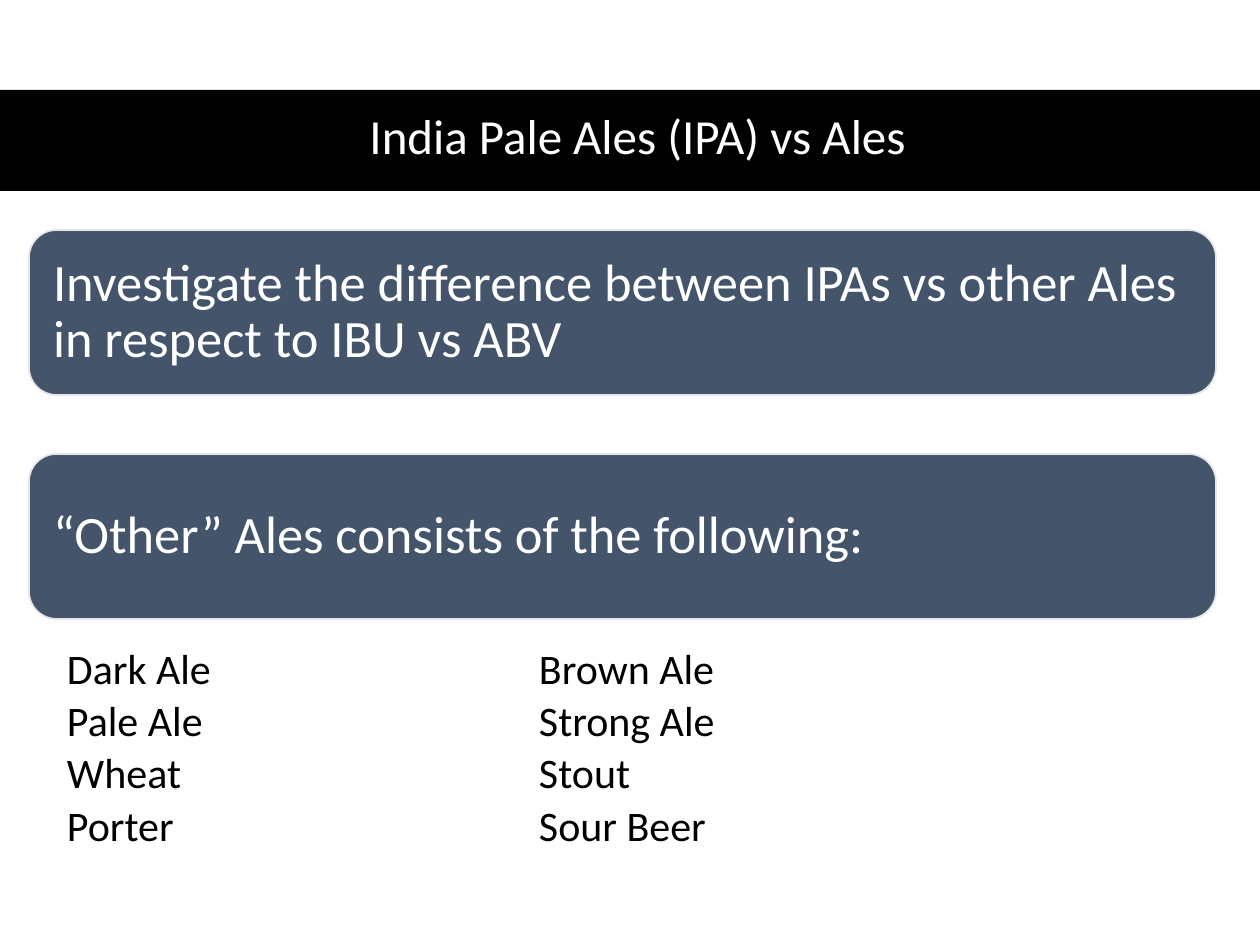
from lxml import etree
from pptx import Presentation
from pptx.dml.color import RGBColor
from pptx.enum.shapes import MSO_SHAPE
from pptx.enum.text import MSO_ANCHOR, MSO_AUTO_SIZE, PP_ALIGN
from pptx.oxml.ns import qn
from pptx.util import Emu, Pt

RECT, ROUND = MSO_SHAPE.RECTANGLE, MSO_SHAPE.ROUNDED_RECTANGLE
MIDDLE, TOP = MSO_ANCHOR.MIDDLE, MSO_ANCHOR.TOP
LEFT, CENTER = PP_ALIGN.LEFT, PP_ALIGN.CENTER
FIXED = MSO_AUTO_SIZE.NONE

BLACK = RGBColor(0x00, 0x00, 0x00)
WHITE = RGBColor(0xFF, 0xFF, 0xFF)
SLATE = RGBColor(0x44, 0x54, 0x6A)
PALE = RGBColor(0xE7, 0xE6, 0xE6)


def px(n):
    return Emu(round(n * 914400 / 126))


def style(para, size, color, align=LEFT):
    para.alignment = align
    para.line_spacing = 0.9
    para.font.name = "Calibri"
    para.font.size = Pt(size)
    para.font.color.rgb = color


deck = Presentation()
deck.slide_width, deck.slide_height = px(1260), px(945)
slide = deck.slides.add_slide(deck.slide_layouts[5])
shapes = slide.shapes

# Title on a black band
title = shapes.title
title.left, title.top, title.width, title.height = px(58), px(88), px(1159), px(102)
frame = title.text_frame
frame.text = "India Pale Ales (IPA) vs Ales"
frame.auto_size = FIXED
frame.vertical_anchor = MIDDLE
style(frame.paragraphs[0], 28, WHITE, CENTER)

band = shapes.add_shape(RECT, 0, px(90), px(1260), px(101))
band.shadow.inherit = False
band.fill.solid()
band.fill.fore_color.rgb = BLACK
band.line.fill.background()
title.element.addprevious(band.element)

# Statement boxes
points = [
    "Investigate the difference between IPAs vs other Ales in respect to IBU vs ABV",
    "“Other” Ales consists of the following:",
]
for i, text in enumerate(points):
    box = shapes.add_shape(ROUND, px(29), px(230 + 224 * i), px(1187), px(165))
    box.shadow.inherit = False
    box.fill.solid()
    box.fill.fore_color.rgb = SLATE
    box.line.color.rgb = PALE
    box.line.width = Pt(1)
    frame = box.text_frame
    frame.word_wrap = True
    frame.vertical_anchor = MIDDLE
    frame.margin_left = frame.margin_right = px(16)
    frame.margin_top = frame.margin_bottom = px(16)
    frame.text = text
    style(frame.paragraphs[0], 30, WHITE)

# Two columns of ales, set with a tab stop
ales = [
    ("Dark Ale", "Brown Ale"),
    ("Pale Ale", "Strong Ale"),
    ("Wheat", "Stout"),
    ("Porter", "Sour Beer"),
]
names = shapes.add_textbox(px(29), px(644), px(1187), px(232))
frame = names.text_frame
frame.word_wrap = True
frame.vertical_anchor = TOP
frame.margin_left, frame.margin_right = px(38), px(24)
frame.margin_top = frame.margin_bottom = px(4)
frame.text = "\n".join("\t".join(pair) for pair in ales)
for para in frame.paragraphs:
    para.space_after = Pt(4)
    tabs = etree.SubElement(para._p.get_or_add_pPr(), qn("a:tabLst"))
    etree.SubElement(tabs, qn("a:tab"), pos=str(px(472)), algn="l")
    style(para, 24, BLACK)

deck.save("out.pptx")
